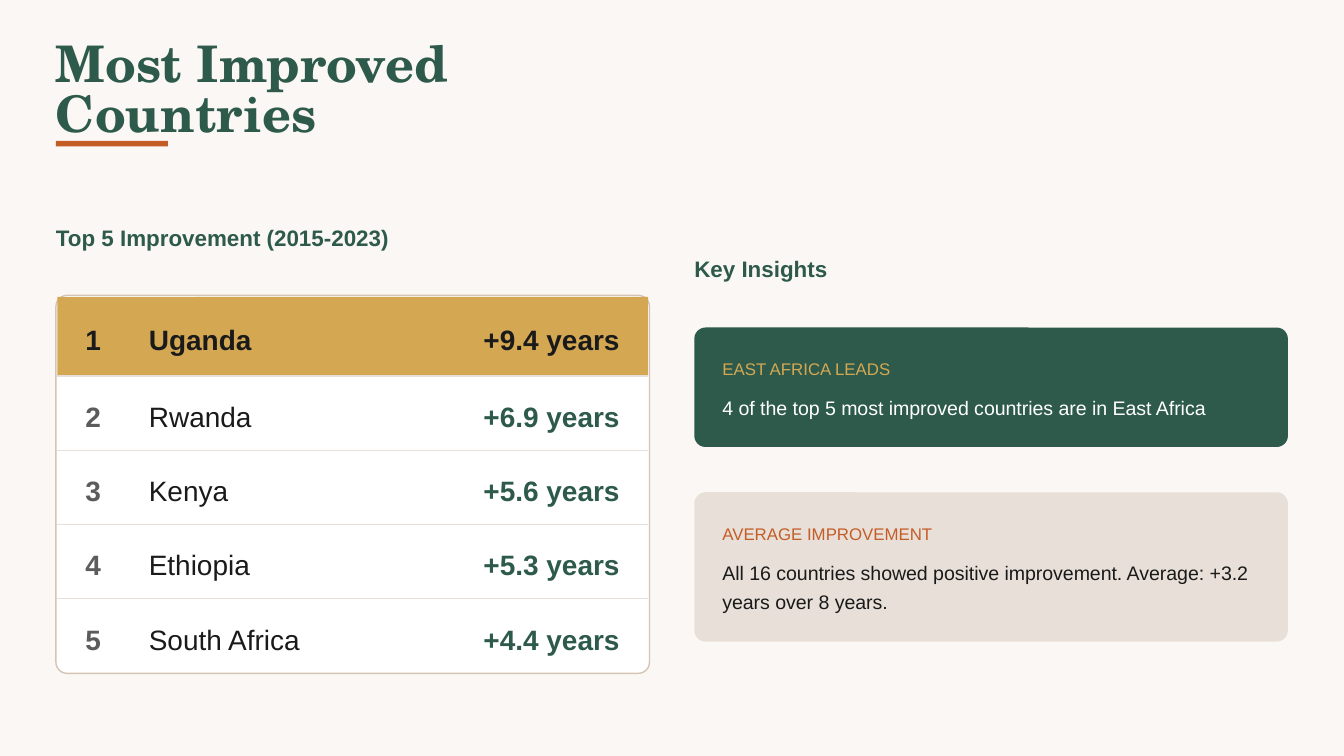
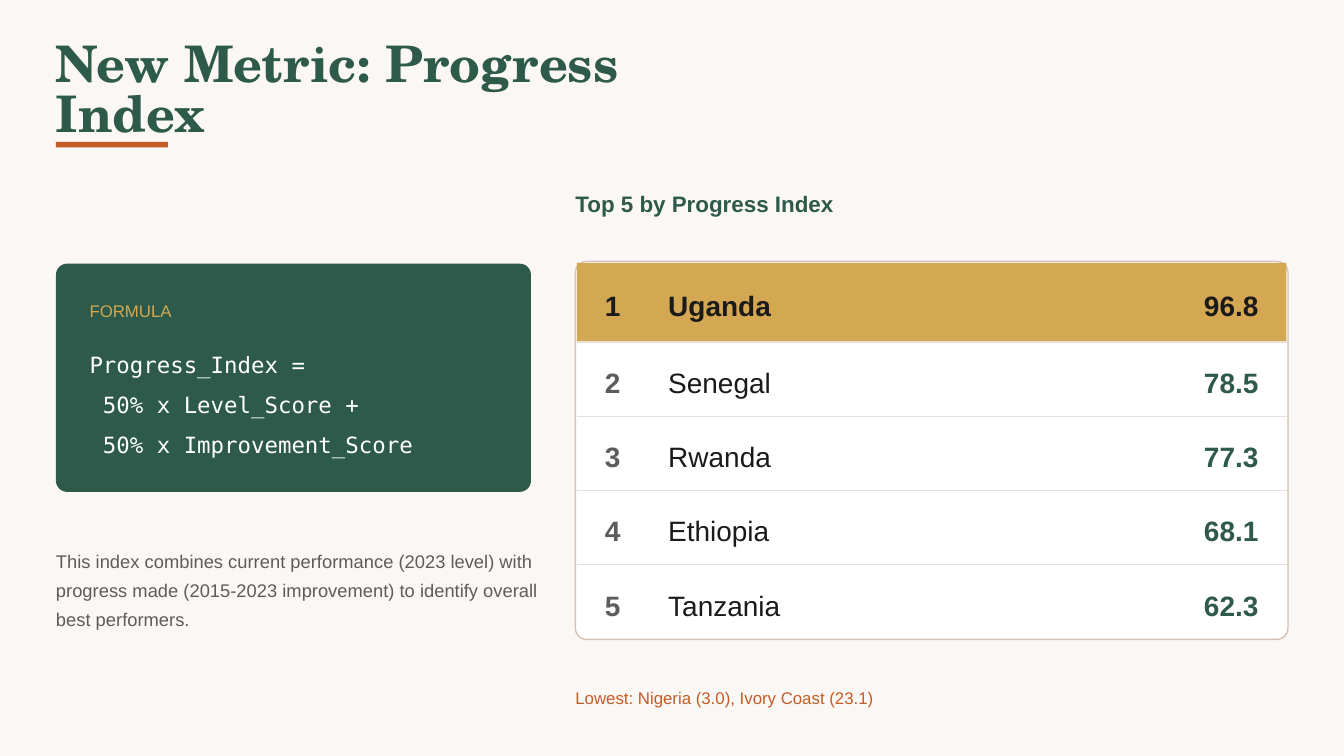
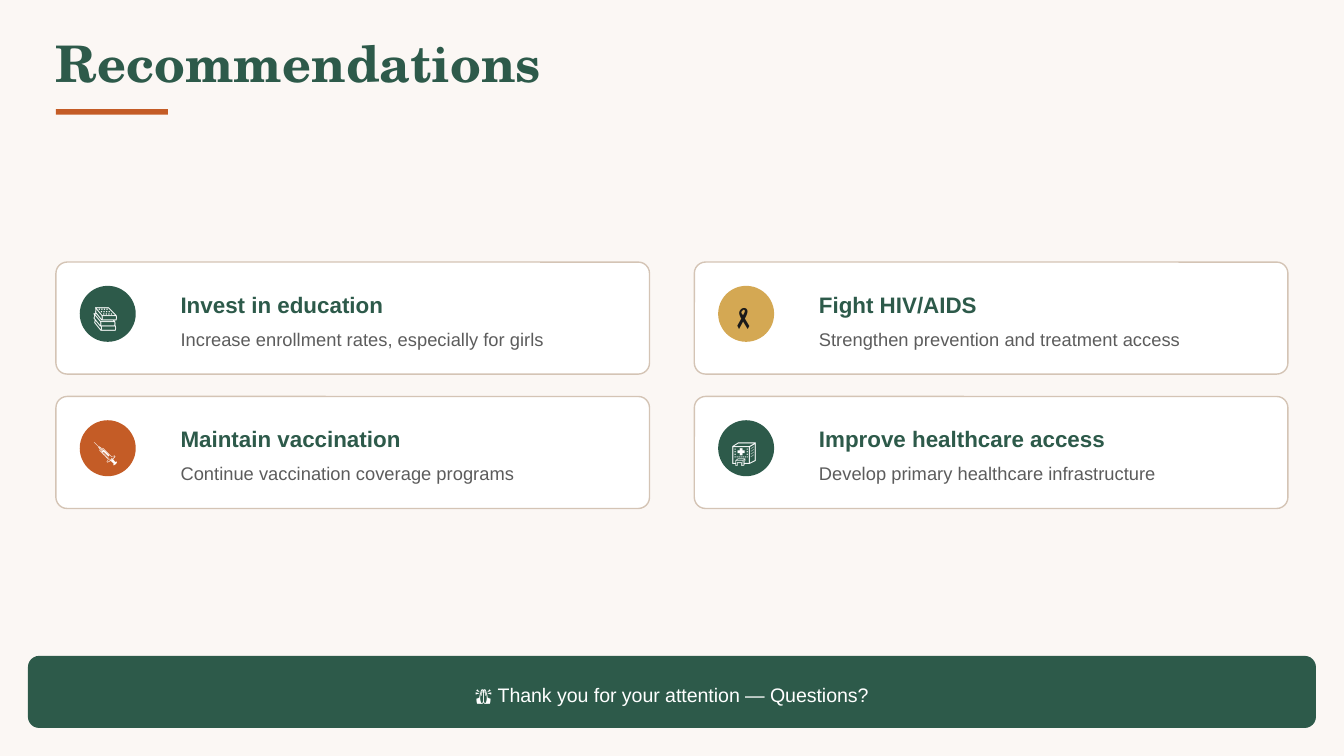
from lxml.etree import SubElement
from pptx import Presentation
from pptx.dml.color import RGBColor
from pptx.enum.shapes import MSO_CONNECTOR as Connector, MSO_SHAPE as Shape
from pptx.enum.text import PP_ALIGN as Align
from pptx.oxml.ns import qn
from pptx.util import Pt

# Colours
CREAM = RGBColor(0xFB, 0xF7, 0xF4)
GREEN = RGBColor(0x2D, 0x5A, 0x4A)
ORANGE = RGBColor(0xC4, 0x5C, 0x26)
GOLD = RGBColor(0xD4, 0xA8, 0x53)
SAND = RGBColor(0xE8, 0xE0, 0xD8)
BORDER = RGBColor(0xD4, 0xC4, 0xB5)
INK = RGBColor(0x1A, 0x1A, 0x1A)
GREY = RGBColor(0x5C, 0x5C, 0x5C)
WHITE = RGBColor(0xFF, 0xFF, 0xFF)

# Fonts
SANS = "Arial"
SERIF = "TeX Gyre Schola"
MONO = "DejaVu Sans Mono"

# Layout, in points
LEFT = 30
RIGHT_COLUMN = 372
COLUMN_WIDTH = 318
CORNER_RADIUS = 6
ROW_STEP = 39.75


# Basic elements
def add_text(slide, text, left, top, width, size, spacing, color, font=SANS,
             bold=False, align=None, before=None, after=None, lines=1):
    box = slide.shapes.add_textbox(Pt(left), Pt(top), Pt(width), Pt(spacing * lines))
    frame = box.text_frame
    frame.word_wrap = True
    frame.margin_left = frame.margin_right = 0
    frame.margin_top = frame.margin_bottom = 0
    frame.text = text
    for paragraph in frame.paragraphs:
        paragraph.line_spacing = Pt(spacing)
        if align is not None:
            paragraph.alignment = align
        if before:
            paragraph.space_before = Pt(before)
        if after:
            paragraph.space_after = Pt(after)
        for run in paragraph.runs:
            run.font.name = font
            run.font.size = Pt(size)
            run.font.bold = bold
            run.font.color.rgb = color


def add_box(slide, left, top, width, height, fill, radius=0, border=None):
    kind = Shape.ROUNDED_RECTANGLE if radius else Shape.RECTANGLE
    shape = slide.shapes.add_shape(kind, Pt(left), Pt(top), Pt(width), Pt(height))
    shape.shadow.inherit = False
    if radius:
        shape.adjustments[0] = radius / min(width, height)
    shape.fill.solid()
    shape.fill.fore_color.rgb = fill
    if border is None:
        shape.line.fill.background()
    else:
        shape.line.color.rgb = border
        shape.line.width = Pt(0.75)


def add_divider(slide, left, right, y):
    line = slide.shapes.add_connector(Connector.STRAIGHT, Pt(left), Pt(y), Pt(right), Pt(y))
    line.line.color.rgb = SAND
    line.line.width = Pt(0.75)
    SubElement(line._element.spPr, qn("a:effectLst"))


# Elements shared by the slides
def add_titled_slide(presentation, title, bar_top):
    slide = presentation.slides.add_slide(presentation.slide_layouts[6])
    slide.background.fill.solid()
    slide.background.fill.fore_color.rgb = CREAM
    add_text(slide, title, LEFT, 22.5, 338, 27, 27, GREEN, SERIF, bold=True)
    add_box(slide, LEFT, bar_top, 60, 3, ORANGE)
    return slide


def add_heading(slide, text, left, top, width, after=12):
    add_text(slide, text, left, top, width, 12, 16.8, GREEN, bold=True, after=after)


def add_label(slide, text, left, top, width, color, after=6):
    add_text(slide, text, left, top, width, 9, 12.6, color, after=after)


def add_ranking(slide, left, top, width, value_width, entries):
    """Card with one row per country; the leader's row is highlighted."""
    right = left + width
    name_left = left + 49.75
    value_left = right - 15 - value_width
    add_box(slide, left, top, width, 202.5, WHITE, CORNER_RADIUS, BORDER)
    add_box(slide, left + 0.75, top + 0.75, width - 1.5, 42.5, GOLD)
    for index, (name, value) in enumerate(entries):
        leads = index == 0
        text_top = top + (11.5 if leads else 13 + ROW_STEP * index)
        if index < len(entries) - 1:
            add_divider(slide, left + 0.75, right - 0.75, top + 43.2 + ROW_STEP * index)
        cells = [
            (str(index + 1), left + 15.75, 23, INK if leads else GREY, True),
            (name, name_left, value_left - name_left - 8, INK, leads),
            (value, value_left, value_width, INK if leads else GREEN, True),
        ]
        for text, cell_left, cell_width, color, bold in cells:
            add_text(slide, text, cell_left, text_top, cell_width, 15, 21, color, bold=bold)


def add_insight(slide, top, height, fill, label, label_color, body, body_color, lines):
    text_left = RIGHT_COLUMN + 15
    add_box(slide, RIGHT_COLUMN, top, COLUMN_WIDTH, height, fill, CORNER_RADIUS)
    add_label(slide, label, text_left, top + 15, 294, label_color)
    add_text(slide, body, text_left, top + 33.5, 294, 10.5, 15.8, body_color, lines=lines)


def add_recommendation(slide, left, top, icon, icon_fill, icon_color, heading, body):
    add_box(slide, left, top, COLUMN_WIDTH, 60, WHITE, CORNER_RADIUS, BORDER)
    add_box(slide, left + 12.75, top + 12.75, 30, 30, icon_fill, radius=15)
    add_text(slide, icon, left + 19.75, top + 18.4, 17.5, 13.5, 18.9, icon_color)
    add_heading(slide, heading, left + 66.75, top + 13, 197, after=3)
    add_text(slide, body, left + 66.75, top + 32.5, 197, 9.8, 14.6, GREY)


# Slides
def build_improvement_slide(presentation):
    slide = add_titled_slide(presentation, "Most Improved Countries", 75.5)
    add_heading(slide, "Top 5 Improvement (2015-2023)", LEFT, 117.5, 324)
    add_ranking(slide, LEFT, 158.25, COLUMN_WIDTH, 74, [
        ("Uganda", "+9.4 years"),
        ("Rwanda", "+6.9 years"),
        ("Kenya", "+5.6 years"),
        ("Ethiopia", "+5.3 years"),
        ("South Africa", "+4.4 years"),
    ])
    add_heading(slide, "Key Insights", RIGHT_COLUMN, 134.5, 324)
    add_insight(slide, 175.5, 64, GREEN, "EAST AFRICA LEADS", GOLD,
                "4 of the top 5 most improved countries are in East Africa", WHITE, 1)
    add_insight(slide, 263.75, 80, SAND, "AVERAGE IMPROVEMENT", ORANGE,
                "All 16 countries showed positive improvement. "
                "Average: +3.2 years over 8 years.", INK, 2)


def build_index_slide(presentation):
    slide = add_titled_slide(presentation, "New Metric: Progress Index", 76)
    # Formula panel and its explanation
    add_box(slide, LEFT, 141.25, 254.5, 122.25, GREEN, CORNER_RADIUS)
    add_label(slide, "FORMULA", LEFT + 18, 159.25, 222, GOLD, after=9)
    add_text(slide, "Progress_Index =\n 50% x Level_Score +\n 50% x Improvement_Score",
             LEFT + 18, 180.75, 222, 12, 21.6, WHITE, MONO, lines=3)
    add_text(slide, "This index combines current performance (2023 level) with progress made "
             "(2015-2023 improvement) to identify overall best performers.",
             LEFT, 291, 259, 9.8, 15.6, GREY, lines=3)
    # Ranking
    ranking_left = 308.25
    add_heading(slide, "Top 5 by Progress Index", ranking_left, 99.25, 389.5)
    add_ranking(slide, ranking_left, 140.1, 381.75, 30, [
        ("Uganda", "96.8"),
        ("Senegal", "78.5"),
        ("Rwanda", "77.3"),
        ("Ethiopia", "68.1"),
        ("Tanzania", "62.3"),
    ])
    add_text(slide, "Lowest: Nigeria (3.0), Ivory Coast (23.1)", ranking_left, 366.5, 389.5,
             9, 12.6, ORANGE, before=12)


def build_recommendations_slide(presentation):
    slide = add_titled_slide(presentation, "Recommendations", 58.5)
    recommendations = [
        ("📚", GREEN, WHITE, "Invest in education",
         "Increase enrollment rates, especially for girls"),
        ("💉", ORANGE, WHITE, "Maintain vaccination",
         "Continue vaccination coverage programs"),
        ("🎗️", GOLD, INK, "Fight HIV/AIDS",
         "Strengthen prevention and treatment access"),
        ("🏥", GREEN, WHITE, "Improve healthcare access",
         "Develop primary healthcare infrastructure"),
    ]
    for index, recommendation in enumerate(recommendations):
        column, row = divmod(index, 2)
        add_recommendation(slide, (LEFT, RIGHT_COLUMN)[column], 140.4 + 72 * row,
                           *recommendation)
    # Closing band
    add_box(slide, 15, 351.4, 690, 38.6, GREEN, CORNER_RADIUS)
    add_text(slide, "🙏 Thank you for your attention — Questions?", 38.5, 363.5, 643,
             10.5, 14.7, WHITE, align=Align.CENTER)


def main():
    presentation = Presentation()
    presentation.slide_width = Pt(720)
    presentation.slide_height = Pt(405)
    build_improvement_slide(presentation)
    build_index_slide(presentation)
    build_recommendations_slide(presentation)
    presentation.save("out.pptx")


if __name__ == "__main__":
    main()
